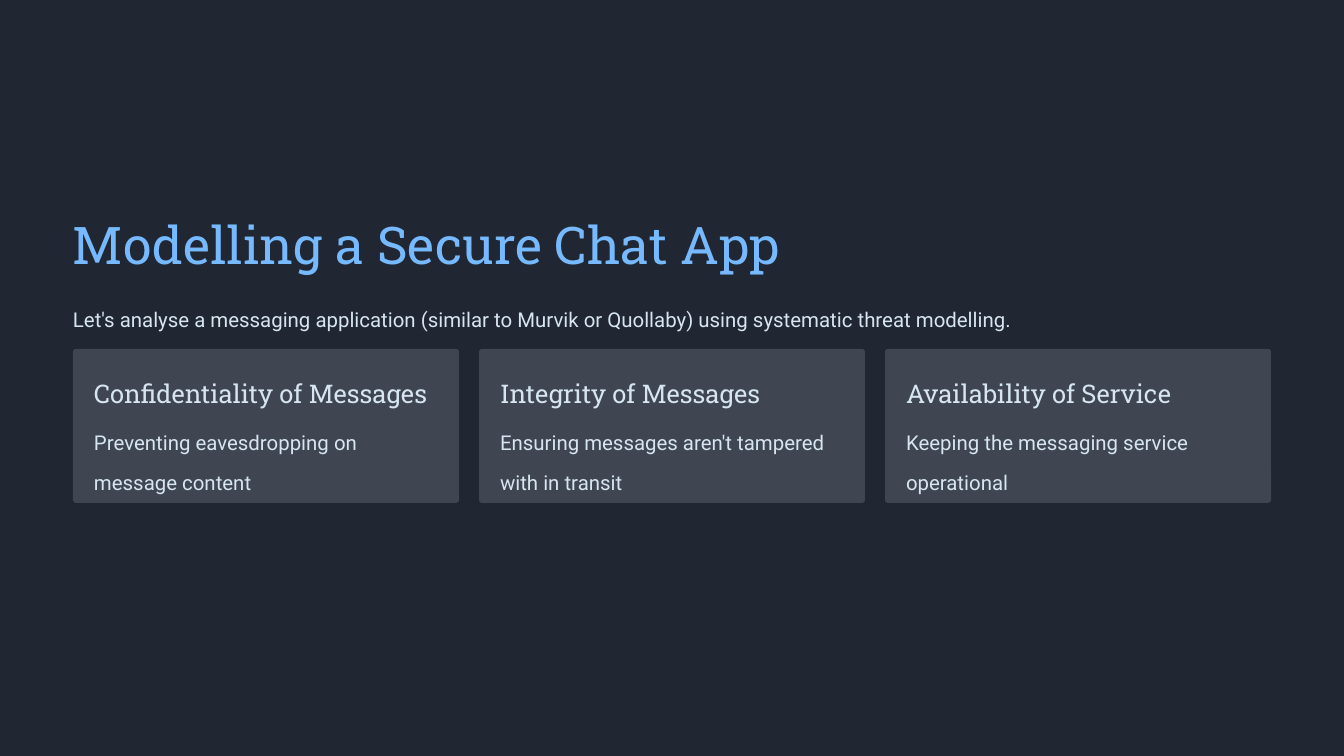
from pptx import Presentation
from pptx.dml.color import RGBColor
from pptx.enum.shapes import MSO_SHAPE
from pptx.util import Pt

PX = 914400 // 84  # EMU per pixel
NAVY = RGBColor(0x20, 0x27, 0x33)
SLATE = RGBColor(0x3F, 0x46, 0x52)
SKY = RGBColor(0x76, 0xB9, 0xFF)
PALE = RGBColor(0xD6, 0xE5, 0xEF)
HEADING_FONT, BODY_FONT = "Roboto Slab", "Roboto"

prs = Presentation()
prs.slide_width, prs.slide_height = 1344 * PX, 756 * PX
slide = prs.slides.add_slide(prs.slide_layouts[6])
slide.background.fill.solid()
slide.background.fill.fore_color.rgb = NAVY


def add_text(text, left, top, width, height, font_name, size, color, spacing):
    frame = slide.shapes.add_textbox(left * PX, top * PX, width * PX, height * PX).text_frame
    frame.word_wrap = True
    frame.margin_left = frame.margin_top = frame.margin_right = frame.margin_bottom = 0
    paragraph = frame.paragraphs[0]
    paragraph.line_spacing = spacing
    run = paragraph.add_run()
    run.text = text
    run.font.name = font_name
    run.font.size = Pt(size)
    run.font.color.rgb = color


# Title and introduction
MARGIN, CONTENT_WIDTH = 73, 1198
add_text("Modelling a Secure Chat App", MARGIN, 197, CONTENT_WIDTH, 66,
         HEADING_FONT, 44.5, SKY, 1.25)
add_text("Let's analyse a messaging application (similar to Murvik or Quollaby) "
         "using systematic threat modelling.",
         MARGIN, 292, CONTENT_WIDTH, 34, BODY_FONT, 17.5, PALE, 1.63)

# Security goal cards
goals = [
    ("Confidentiality of Messages", "Preventing eavesdropping on message content"),
    ("Integrity of Messages", "Ensuring messages aren't tampered with in transit"),
    ("Availability of Service", "Keeping the messaging service operational"),
]
CARD_TOP, CARD_HEIGHT, GAP, PADDING = 349, 154, 20, 21
card_width = (CONTENT_WIDTH - GAP * (len(goals) - 1)) // len(goals)
text_width = card_width - 2 * PADDING

for index, (goal, explanation) in enumerate(goals):
    left = MARGIN + index * (card_width + GAP)
    card = slide.shapes.add_shape(MSO_SHAPE.ROUNDED_RECTANGLE, left * PX, CARD_TOP * PX,
                                  card_width * PX, CARD_HEIGHT * PX)
    card.adjustments[0] = 0.02
    card.shadow.inherit = False
    card.fill.solid()
    card.fill.fore_color.rgb = SLATE
    card.line.fill.background()
    add_text(goal, left + PADDING, CARD_TOP + PADDING, text_width, 33,
             HEADING_FONT, 22, PALE, 1.25)
    add_text(explanation, left + PADDING, CARD_TOP + 66, text_width, 66,
             BODY_FONT, 17.5, PALE, 1.63)

prs.save("out.pptx")
